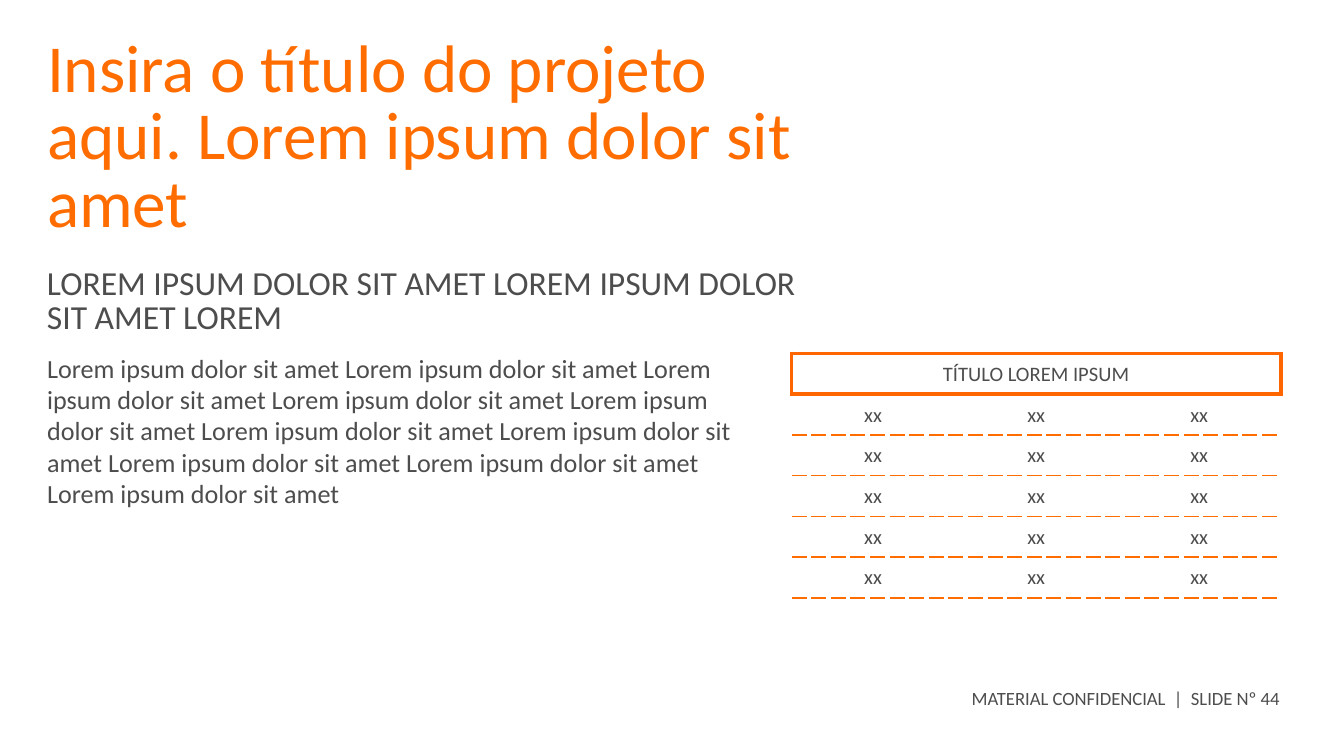
from dataclasses import dataclass

from lxml import etree
from pptx import Presentation
from pptx.dml.color import RGBColor
from pptx.enum.text import MSO_ANCHOR, PP_ALIGN
from pptx.oxml.ns import qn
from pptx.util import Inches, Pt

CENTER = PP_ALIGN.CENTER
TOP, MIDDLE = MSO_ANCHOR.TOP, MSO_ANCHOR.MIDDLE
TITLE_ONLY = 5

TITLE = "Insira o título do projeto aqui. Lorem ipsum dolor sit amet"
SUBTITLE = "LOREM IPSUM DOLOR SIT AMET LOREM IPSUM DOLOR SIT AMET LOREM"
BODY = " ".join(["Lorem ipsum dolor sit amet"] * 10)
FOOTER = "MATERIAL CONFIDENCIAL  |  SLIDE Nº 44"
TABLE_TITLE = "TÍTULO LOREM IPSUM"
TABLE_ROWS = [["xx"] * 3 for _ in range(5)]


@dataclass(frozen=True)
class Theme:
    font: str = "Calibri"
    orange: str = "FF6D00"
    frame: str = "FF6600"
    gray: str = "4D4D4D"
    title: int = 36
    subtitle: int = 18
    body: int = 14
    cell: int = 11
    footer: int = 10
    cell_spacing: int = 14
    frame_width: float = 2.25
    dash_width: float = 1


THEME = Theme()
WIDTH = 10
HEIGHT = WIDTH * 9 / 16
LEFT, TEXT_WIDTH = 0.35, 5.64
TABLE_AREA = (5.89, 2.63, 3.64, 1.82)


def write(frame, text, size, color, spacing=None, align=None):
    para = frame.paragraphs[0]
    para.alignment = align
    para.space_before = Pt(0)
    if spacing:
        para.line_spacing = Pt(spacing)
    span = para.add_run()
    span.text = text
    span.font.name = THEME.font
    span.font.size = Pt(size)
    span.font.color.rgb = RGBColor.from_string(color)


def place(box, left, top, width, height):
    """Position a text shape and remove its insets."""
    box.left, box.top = Inches(left), Inches(top)
    box.width, box.height = Inches(width), Inches(height)
    frame = box.text_frame
    frame.word_wrap = True
    frame.vertical_anchor = TOP
    frame.margin_left = frame.margin_right = 0
    frame.margin_top = frame.margin_bottom = 0
    return frame


def set_borders(cell, **sides):
    """Each side (L, R, T, B) is (color, points, dash), or absent for no line."""
    properties = cell._tc.get_or_add_tcPr()
    for index, side in enumerate("LRTB"):
        line = etree.Element(qn(f"a:ln{side}"))
        if side in sides:
            color, points, dash = sides[side]
            line.set("w", str(Pt(points)))
            fill = etree.SubElement(line, qn("a:solidFill"))
            etree.SubElement(fill, qn("a:srgbClr"), val=color)
            etree.SubElement(line, qn("a:prstDash"), val=dash)
        else:
            etree.SubElement(line, qn("a:noFill"))
        properties.insert(index, line)


def fill_cell(cell, text):
    cell.vertical_anchor = MIDDLE
    cell.margin_top = cell.margin_bottom = Inches(0.04)
    write(cell.text_frame, text, THEME.cell, THEME.gray, THEME.cell_spacing, CENTER)


def add_data_table(page):
    row_count, column_count = len(TABLE_ROWS) + 1, len(TABLE_ROWS[0])
    table = page.shapes.add_table(
        row_count, column_count, *map(Inches, TABLE_AREA)).table
    table.first_row = table.horz_banding = False
    solid = (THEME.frame, THEME.frame_width, "solid")
    dashed = (THEME.orange, THEME.dash_width, "dash")

    for cell in table.iter_cells():
        cell.fill.background()
    header = table.cell(0, 0)
    header.merge(table.cell(0, column_count - 1))
    fill_cell(header, TABLE_TITLE)
    for column in range(column_count):
        set_borders(table.cell(0, column), L=solid, R=solid, T=solid, B=solid)
    for row, values in enumerate(TABLE_ROWS, start=1):
        for column, value in enumerate(values):
            cell = table.cell(row, column)
            fill_cell(cell, value)
            set_borders(cell, T=solid if row == 1 else dashed, B=dashed)


def main():
    deck = Presentation()
    deck.slide_width, deck.slide_height = Inches(WIDTH), Inches(HEIGHT)
    page = deck.slides.add_slide(deck.slide_layouts[TITLE_ONLY])

    title = place(page.shapes.title, LEFT, 0.29, TEXT_WIDTH, 1.44)
    write(title, TITLE, THEME.title, THEME.orange, THEME.title, PP_ALIGN.LEFT)

    texts = [
        (SUBTITLE, (LEFT, 2, TEXT_WIDTH, 0.53), THEME.subtitle, THEME.subtitle),
        (BODY, (LEFT, 2.62, 5.15, 1.66), THEME.body, None),
        (FOOTER, (7.23, 5.11, 2.33, 0.3), THEME.footer, None),
    ]
    for text, area, size, spacing in texts:
        box = page.shapes.add_textbox(0, 0, 0, 0)
        write(place(box, *area), text, size, THEME.gray, spacing)

    add_data_table(page)
    deck.save("out.pptx")


if __name__ == "__main__":
    main()
